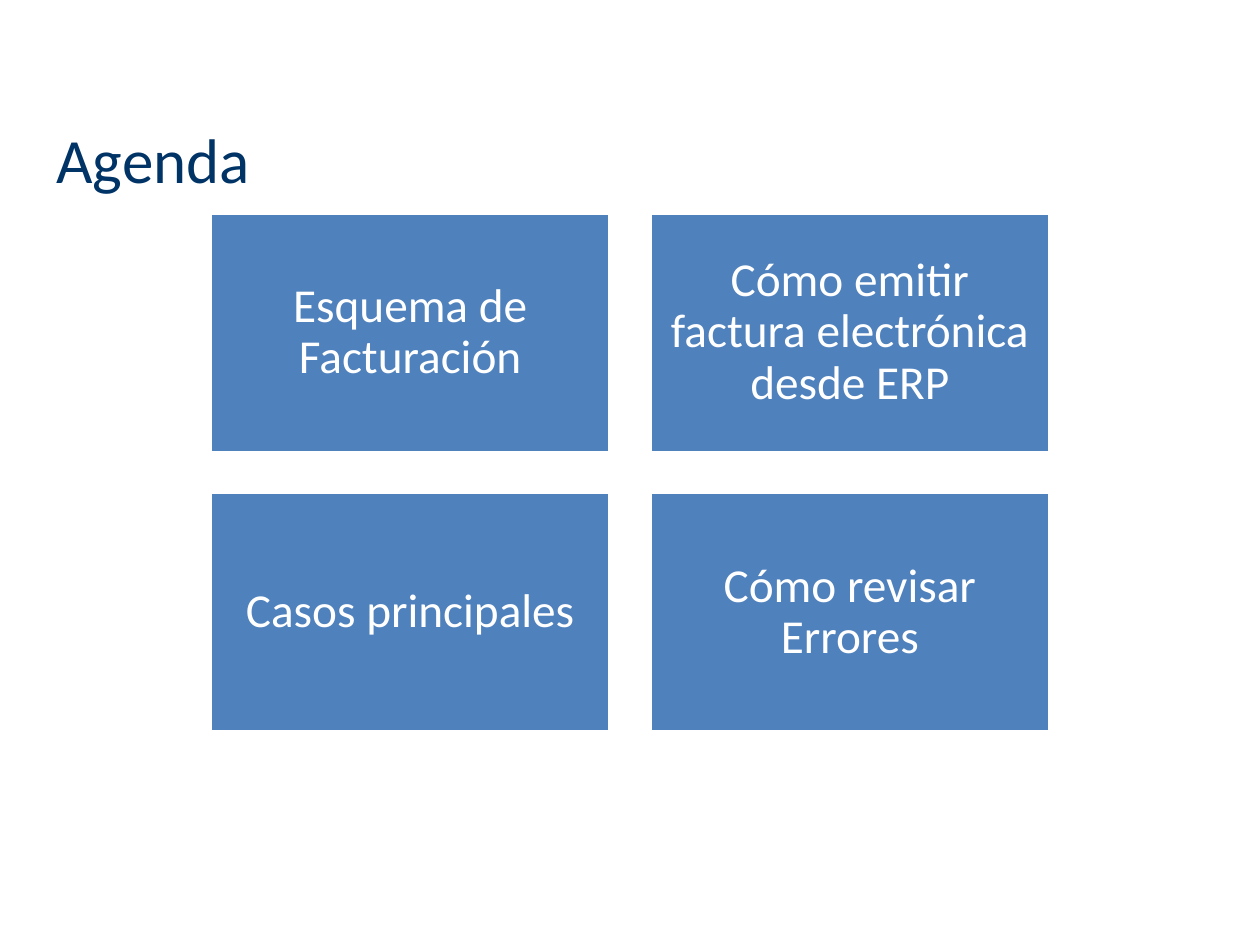
from pptx import Presentation
from pptx.dml.color import RGBColor
from pptx.enum.shapes import MSO_SHAPE
from pptx.enum.text import MSO_ANCHOR, PP_ALIGN
from pptx.util import Inches, Pt

TOPICS = [
    "Esquema de Facturación",
    "Cómo emitir factura electrónica desde ERP",
    "Casos principales",
    "Cómo revisar Errores",
]


def color(code):
    return RGBColor.from_string(code)


def write(shape, text, size, ink, align=PP_ALIGN.LEFT,
          anchor=MSO_ANCHOR.TOP, inset=(0.1, 0.05), spacing=1.0):
    frame = shape.text_frame
    frame.word_wrap = True
    frame.vertical_anchor = anchor
    frame.margin_left = frame.margin_right = Inches(inset[0])
    frame.margin_top = frame.margin_bottom = Inches(inset[1])
    para = frame.paragraphs[0]
    para.alignment = align
    para.line_spacing = spacing
    run = para.add_run()
    run.text = text
    run.font.name = "Calibri"
    run.font.size = Pt(size)
    run.font.color.rgb = color(ink)


def add_title(slide, text):
    box = slide.shapes.add_textbox(
        Inches(0.35), Inches(0.91), Inches(8.74), Inches(0.71))
    write(box, text, 36, "003366")


def add_card(slide, text, left, top, width, height):
    card = slide.shapes.add_shape(
        MSO_SHAPE.RECTANGLE,
        Inches(left), Inches(top), Inches(width), Inches(height))
    card.shadow.inherit = False
    card.fill.solid()
    card.fill.fore_color.rgb = color("4F81BD")
    card.line.color.rgb = color("FFFFFF")
    card.line.width = Pt(2)
    write(card, text, 27, "FFFFFF", align=PP_ALIGN.CENTER,
          anchor=MSO_ANCHOR.MIDDLE, inset=(0.11, 0.11), spacing=0.9)


def add_grid(slide, topics):
    width, height, gap = 3.17, 1.9, 0.32
    for index, topic in enumerate(topics):
        row, col = divmod(index, 2)
        add_card(slide, topic, 1.67 + col * (width + gap),
                 1.69 + row * (height + gap), width, height)


def main():
    deck = Presentation()
    deck.slide_width = Inches(10)
    deck.slide_height = Inches(7.5)
    slide = deck.slides.add_slide(deck.slide_layouts[6])
    add_title(slide, "Agenda")
    add_grid(slide, TOPICS)
    deck.save("out.pptx")


if __name__ == "__main__":
    main()
